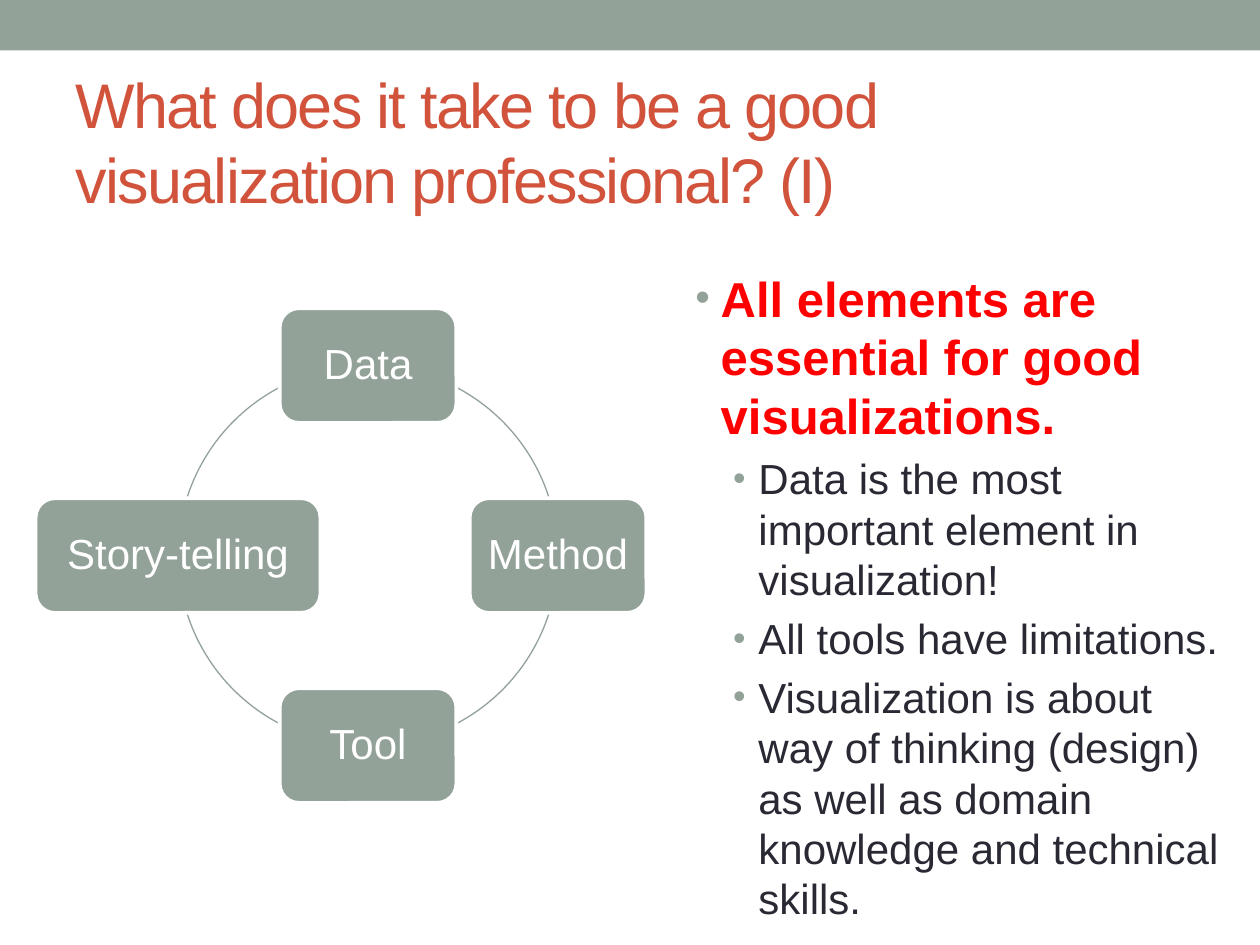
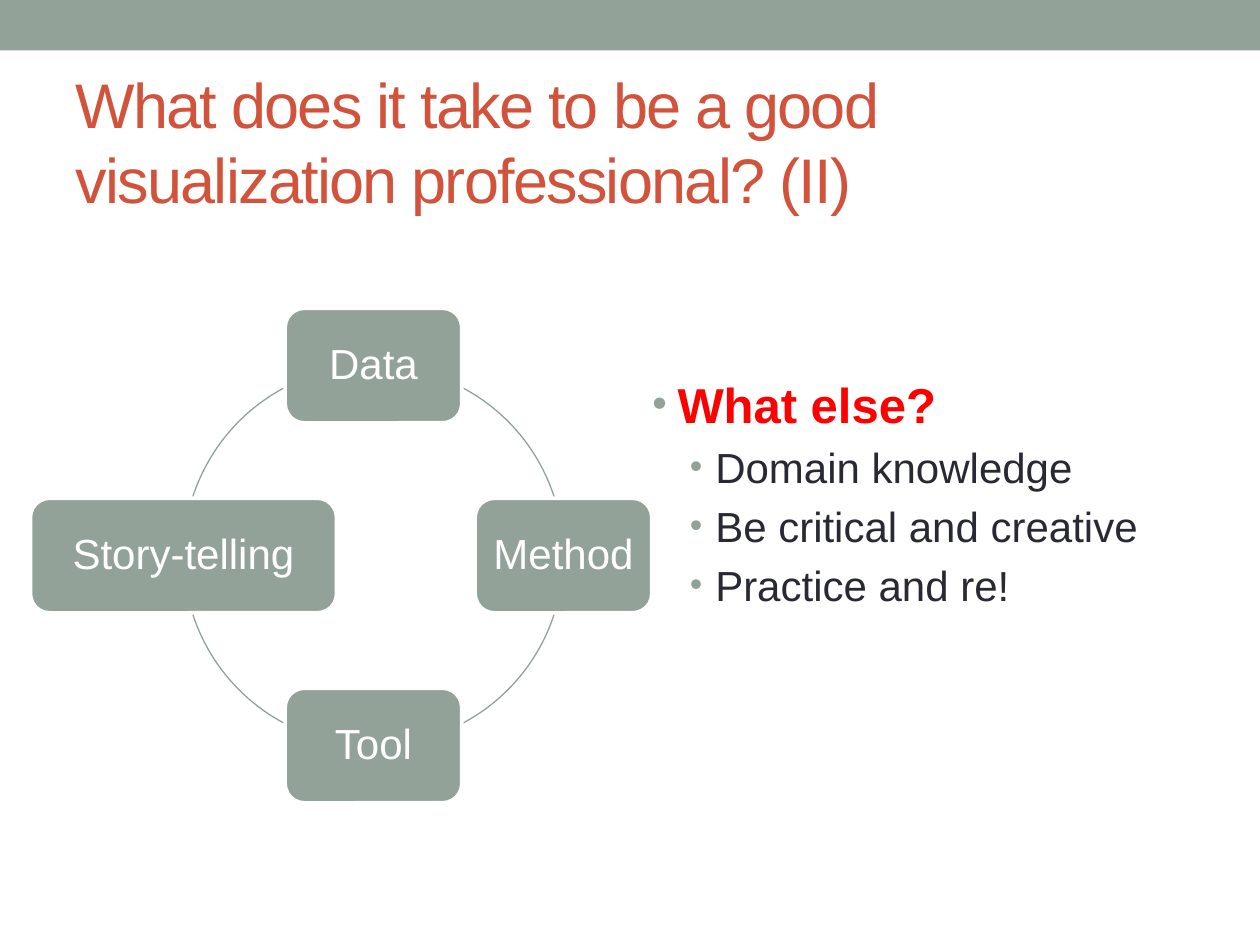
from lxml import etree
from pptx import Presentation
from pptx.dml.color import RGBColor
from pptx.enum.shapes import MSO_SHAPE
from pptx.enum.text import MSO_ANCHOR, MSO_AUTO_SIZE, PP_ALIGN
from pptx.oxml.ns import qn
from pptx.util import Cm, Pt

RECT = MSO_SHAPE.RECTANGLE
ROUND = MSO_SHAPE.ROUNDED_RECTANGLE
ARC = MSO_SHAPE.ARC
MIDDLE = MSO_ANCHOR.MIDDLE
FIXED = MSO_AUTO_SIZE.NONE
LEFT, CENTER = PP_ALIGN.LEFT, PP_ALIGN.CENTER

FONT = "Arial"
COLORS = {
    "sage": "93A299",
    "rust": "D2533C",
    "red": "FF0000",
    "ink": "292934",
    "white": "FFFFFF",
}
TITLE = "What does it take to be a good visualization professional? "
RING_Y, RADIUS = 11.2, 3.83
NODE_W, NODE_H = 3.56, 2.31
NODES = [("Data", 0, -1), ("Method", 1, 0), ("Tool", 0, 1), ("Story-telling", -1, 0)]
ARC_STARTS, ARC_SPAN = (298, 18, 118, 198), 44
INDENT = 0.51
LEVELS = [(0.51, 28, "red", True), (1.27, 24, "ink", False)]


def color(name):
    return RGBColor.from_string(COLORS[name])


class Deck:
    def __init__(self):
        self.prs = Presentation()
        self.prs.slide_width, self.prs.slide_height = Cm(25.4), Cm(19.05)
        self.slide = None

    def start(self, title):
        self.slide = self.prs.slides.add_slide(self.prs.slide_layouts[5])
        band = self.shape(RECT, 0, 0, 25.4, 1.02)
        band.line.fill.background()
        box = self.slide.shapes.title
        box.left, box.top, box.width, box.height = Cm(1.27), Cm(1.47), Cm(22.86), Cm(2.74)
        frame = box.text_frame
        frame.word_wrap, frame.auto_size = True, FIXED
        frame.vertical_anchor = MIDDLE
        para = frame.paragraphs[0]
        para.alignment = LEFT
        run = self.run(para, title, 36, "rust")
        run.font._element.set("spc", "-100")

    def shape(self, kind, left, top, width, height):
        item = self.slide.shapes.add_shape(kind, Cm(left), Cm(top), Cm(width), Cm(height))
        item.shadow.inherit = False
        item.fill.solid()
        item.fill.fore_color.rgb = color("sage")
        return item

    def run(self, para, text, size, tint, bold=False):
        run = para.add_run()
        run.text = text
        font = run.font
        font.name, font.size, font.bold = FONT, Pt(size), bold
        font.color.rgb = color(tint)
        return run

    def node(self, text, mid_x, mid_y, width):
        box = self.shape(ROUND, mid_x - width / 2, mid_y - NODE_H / 2, width, NODE_H)
        box.line.color.rgb = color("white")
        box.line.width = Pt(2.08)
        frame = box.text_frame
        frame.word_wrap, frame.vertical_anchor = True, MIDDLE
        frame.margin_left = frame.margin_right = Cm(0.25)
        para = frame.paragraphs[0]
        para.alignment, para.line_spacing = CENTER, 0.9
        self.run(para, text, 24, "white")

    def arc(self, mid_x, start):
        curve = self.shape(ARC, mid_x - RADIUS, RING_Y - RADIUS, 2 * RADIUS, 2 * RADIUS)
        curve.fill.background()
        curve.line.color.rgb = color("sage")
        curve.line.width = Pt(0.75)
        for i, angle in enumerate((start, start + ARC_SPAN)):
            curve.adjustments[i] = angle * 0.6

    def ring(self, mid_x, story_w):
        for start in ARC_STARTS:
            self.arc(mid_x, start)
        for text, dx, dy in NODES:
            width = story_w if dx < 0 else NODE_W
            self.node(text, mid_x + dx * RADIUS, RING_Y + dy * RADIUS, width)

    def bullet(self, para, margin):
        props = para._p.get_or_add_pPr()
        props.set("marL", str(Cm(margin)))
        props.set("indent", str(-Cm(INDENT)))
        tint = etree.SubElement(props, qn("a:buClr"))
        etree.SubElement(tint, qn("a:srgbClr")).set("val", COLORS["sage"])
        etree.SubElement(props, qn("a:buSzPct")).set("val", "85000")
        etree.SubElement(props, qn("a:buFont")).set("typeface", FONT)
        etree.SubElement(props, qn("a:buChar")).set("char", "•")

    def points(self, left, top, height, head, items):
        box = self.slide.shapes.add_textbox(Cm(left), Cm(top), Cm(11.23), Cm(height))
        frame = box.text_frame
        frame.word_wrap = True
        for i, text in enumerate([head, *items]):
            para = frame.add_paragraph() if i else frame.paragraphs[0]
            level = min(i, 1)
            margin, size, tint, bold = LEVELS[level]
            self.bullet(para, margin)
            para.level = level
            if i:
                para.space_before = Pt(size * 0.2)
            self.run(para, text, size, tint, bold)


def main():
    deck = Deck()
    deck.start(TITLE + "(I)")
    deck.ring(7.42, 5.74)
    deck.points(13.77, 5.28, 13.11, "All elements are essential for good visualizations.", [
        "Data is the most important element in visualization!",
        "All tools have limitations.",
        "Visualization is about way of thinking (design) as well as domain "
        "knowledge and technical skills.",
    ])
    deck.start(TITLE + "(II)")
    deck.ring(7.53, 6.17)
    deck.points(12.9, 7.42, 10.34, "What else?", [
        "Domain knowledge",
        "Be critical and creative",
        "Practice and re!",
    ])
    deck.prs.save("out.pptx")


if __name__ == "__main__":
    main()
